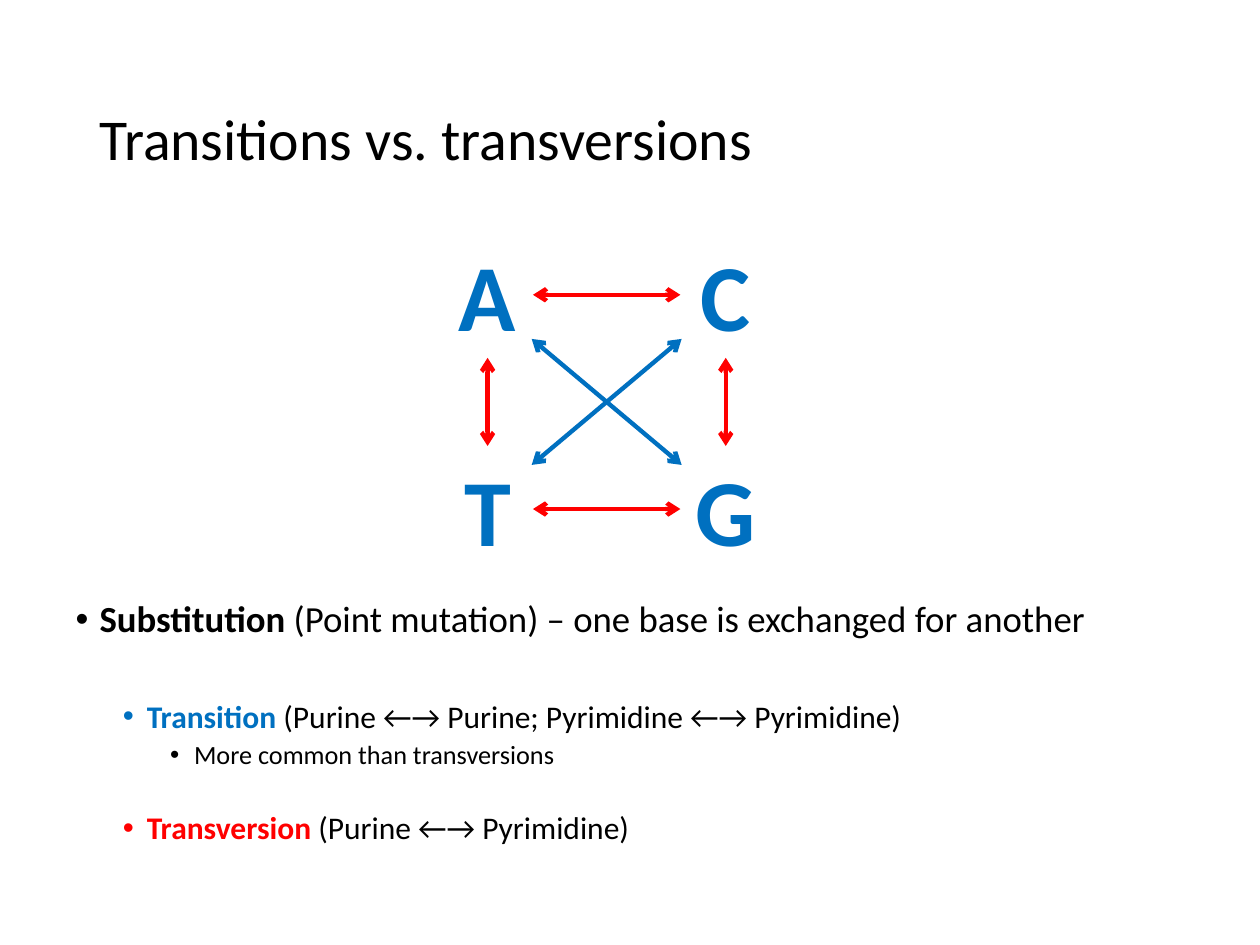
from lxml import etree
from pptx import Presentation
from pptx import util as u
from pptx.dml.color import RGBColor
from pptx.enum import shapes, text
from pptx.oxml.ns import qn

BLACK = RGBColor(0x00, 0x00, 0x00)
BLUE = RGBColor(0x00, 0x70, 0xC0)
RED = RGBColor(0xFF, 0x00, 0x00)
FONT = "Calibri"
COLUMNS, ROWS = 10, 7.5

# Centres of the four bases, and how far arrows stop from them
LEFT, RIGHT = 3.87, 5.76
TOP, BOTTOM = 2.34, 4.04
GAP_X, GAP_Y = 0.36, 0.5
DIAGONAL_GAP = 0.35


class SlideBuilder:
    def __init__(self, deck):
        self.deck = deck
        self.page = deck.slides.add_slide(deck.slide_layouts[1])

    def x(self, columns):
        return round(self.deck.slide_width * columns / COLUMNS)

    def y(self, rows):
        return round(self.deck.slide_height * rows / ROWS)

    def place(self, box, left, top, width, height):
        box.left, box.top = self.x(left), self.y(top)
        box.width, box.height = self.x(width), self.y(height)

    def span(self, para, words, size, color=BLACK, bold=False):
        span = para.add_run()
        span.text = words
        span.font.name = FONT
        span.font.size = u.Pt(size)
        span.font.bold = bold
        span.font.color.rgb = color

    def title(self, words, area):
        box = self.page.shapes.title
        self.place(box, *area)
        frame = box.text_frame
        frame.auto_size = text.MSO_AUTO_SIZE.NONE
        frame.vertical_anchor = text.MSO_ANCHOR.MIDDLE
        para = frame.paragraphs[0]
        para.alignment = text.PP_ALIGN.LEFT
        para.line_spacing = 0.9
        self.span(para, words, 33)

    def bullets(self, items, area):
        """Fill the body with (level, size, space before, spans) items."""
        box = self.page.placeholders[1]
        self.place(box, *area)
        frame = box.text_frame
        frame.auto_size = text.MSO_AUTO_SIZE.NONE
        for index, (level, size, before, spans) in enumerate(items):
            para = frame.add_paragraph() if index else frame.paragraphs[0]
            para.level = level
            para.line_spacing = 0.9
            para.space_before = u.Pt(before)
            props = para._p.get_or_add_pPr()
            props.set("marL", str(u.Inches(0.19 + 0.375 * level)))
            props.set("indent", str(-u.Inches(0.19)))
            etree.SubElement(props, qn("a:buFont"), typeface="Arial")
            etree.SubElement(props, qn("a:buChar"), char="•")
            for words, color, bold in spans:
                self.span(para, words, size, color, bold)

    def letter(self, base, center_x, center_y):
        width, height = 0.8, 1.01
        box = self.page.shapes.add_textbox(
            self.x(center_x - width / 2), self.y(center_y - height / 2),
            self.x(width), self.y(height))
        box.text_frame.word_wrap = False
        para = box.text_frame.paragraphs[0]
        para.alignment = text.PP_ALIGN.CENTER
        self.span(para, base, 54, BLUE, True)

    def double_arrow(self, start, end, color):
        arrow = self.page.shapes.add_connector(
            shapes.MSO_CONNECTOR.STRAIGHT,
            self.x(start[0]), self.y(start[1]), self.x(end[0]), self.y(end[1]))
        arrow.line.color.rgb = color
        arrow.line.width = u.Pt(2.5)
        line = arrow.line._get_or_add_ln()
        for tip in ("a:headEnd", "a:tailEnd"):
            etree.SubElement(line, qn(tip), type="arrow")
        etree.SubElement(arrow._element.spPr, qn("a:effectLst"))


def main():
    deck = Presentation()
    deck.slide_width, deck.slide_height = u.Inches(10), u.Inches(7.5)
    slide = SlideBuilder(deck)

    slide.title("Transitions vs. transversions", (0.69, 0.4, 8.62, 1.45))
    slide.bullets([
        (0, 21, 0, [
            ("Substitution", BLACK, True),
            (" (Point mutation) – one base is exchanged for another", BLACK, False)]),
        (1, 18, 34.4, [
            ("Transition ", BLUE, True),
            ("(Purine ←→ Purine; Pyrimidine ←→ Pyrimidine)", BLACK, False)]),
        (2, 15, 3.8, [("More common than transversions", BLACK, False)]),
        (1, 18, 24.1, [
            ("Transversion ", RED, True),
            ("(Purine ←→ Pyrimidine)", BLACK, False)]),
    ], (0.5, 4.72, 9, 2.37))

    for base, center_x, center_y in (("A", LEFT, TOP), ("T", LEFT, BOTTOM),
                                     ("C", RIGHT, TOP), ("G", RIGHT, BOTTOM)):
        slide.letter(base, center_x, center_y)

    for row in (TOP, BOTTOM):
        slide.double_arrow((LEFT + GAP_X, row), (RIGHT - GAP_X, row), RED)
    for column in (LEFT, RIGHT):
        slide.double_arrow((column, TOP + GAP_Y), (column, BOTTOM - GAP_Y), RED)

    near, far = LEFT + DIAGONAL_GAP, RIGHT - DIAGONAL_GAP
    upper, lower = TOP + DIAGONAL_GAP, BOTTOM - DIAGONAL_GAP
    slide.double_arrow((near, upper), (far, lower), BLUE)
    slide.double_arrow((far, upper), (near, lower), BLUE)

    deck.save("out.pptx")


if __name__ == "__main__":
    main()
